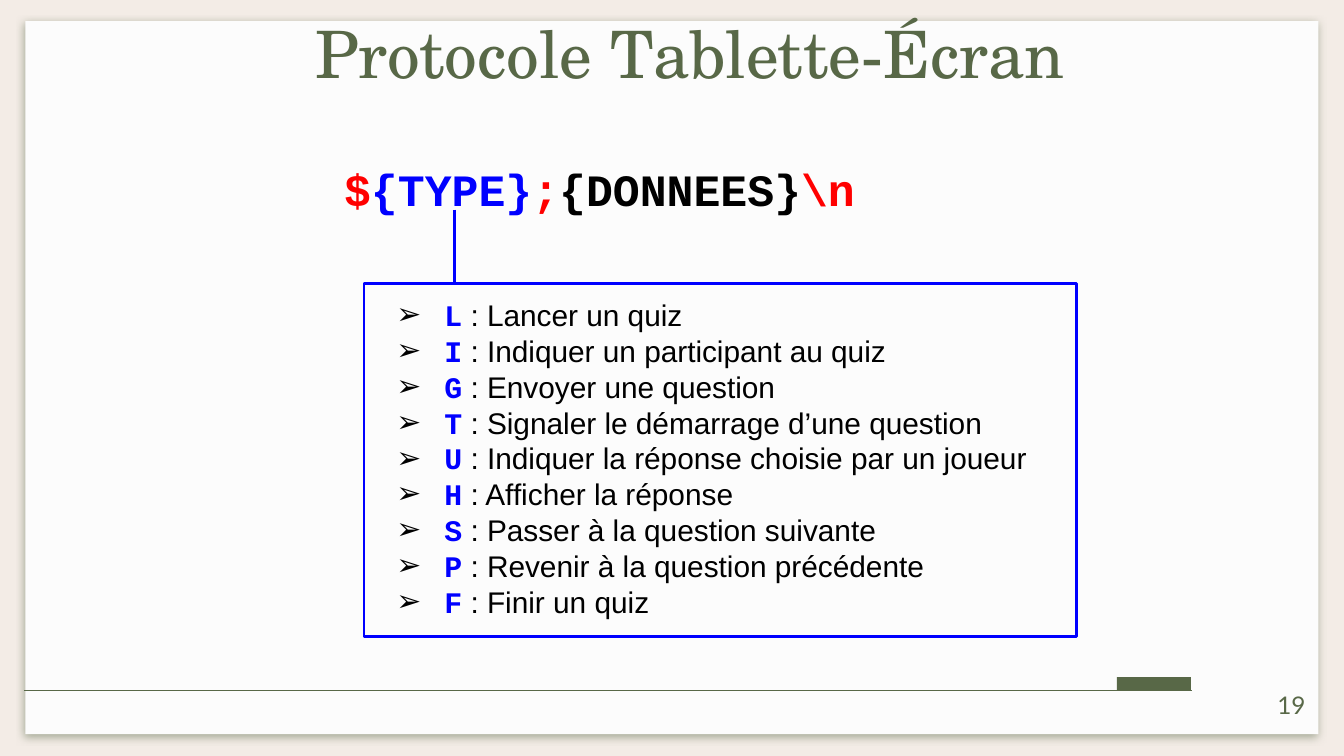
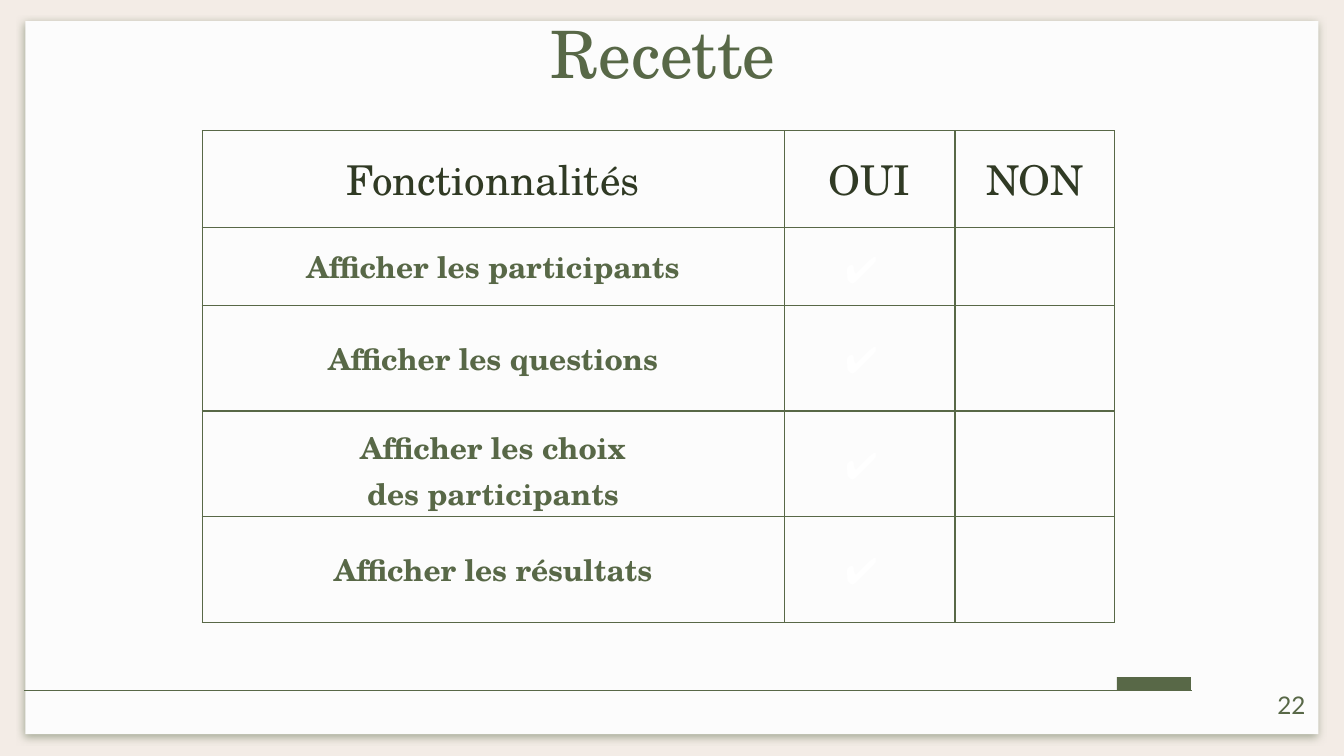
from lxml.etree import SubElement
from pptx import Presentation
from pptx.dml.color import RGBColor
from pptx.enum.shapes import MSO_CONNECTOR, MSO_SHAPE
from pptx.enum.text import MSO_ANCHOR, PP_ALIGN
from pptx.oxml.ns import qn
from pptx.util import Cm, Pt

HUES = {
    "page": "F3ECE6", "card": "FCFCFC", "green": "586847", "dark": "303A24",
    "blue": "0000FF", "red": "FF0000", "black": "000000", "white": "FFFFFF",
}
SERIF, SANS, MONO, NOTE = "TeX Gyre Schola", "Arial", "Courier New", "Lato"
PAD = Cm(0.25)

ORDERS = [
    ("L", "Lancer un quiz"),
    ("I", "Indiquer un participant au quiz"),
    ("G", "Envoyer une question"),
    ("T", "Signaler le démarrage d’une question"),
    ("U", "Indiquer la réponse choisie par un joueur"),
    ("H", "Afficher la réponse"),
    ("S", "Passer à la question suivante"),
    ("P", "Revenir à la question précédente"),
    ("F", "Finir un quiz"),
]
FRAME = [("$", "red"), ("{TYPE}", "blue"), (";", "red"),
         ("{DONNEES}", "black"), ("\\n", "red")]
HEADS = ["Fonctionnalités", "OUI", "NON"]
TESTS = [
    ["Afficher les participants"],
    ["Afficher les questions"],
    ["Afficher les choix", "des participants"],
    ["Afficher les résultats"],
]
WIDTHS = [11, 3.23, 3.02]
HEIGHTS = [1.83, 1.47, 2, 2, 2]


def tint(name):
    """Return the named colour."""
    return RGBColor.from_string(HUES[name])


def add_run(par, text, face, size, hue, bold=False):
    """Add one styled run to a paragraph."""
    run = par.add_run()
    run.text = text
    run.font.name, run.font.size, run.font.bold = face, Pt(size), bold
    run.font.color.rgb = tint(hue)


def set_pad(item):
    """Give a text frame or a cell equal margins."""
    item.margin_left = item.margin_right = PAD
    item.margin_top = item.margin_bottom = PAD


def add_text(slide, spot, align, anchor=MSO_ANCHOR.TOP):
    """Add a wrapped text box and return its first paragraph."""
    frame = slide.shapes.add_textbox(*map(Cm, spot)).text_frame
    frame.word_wrap = True
    frame.vertical_anchor = anchor
    set_pad(frame)
    par = frame.paragraphs[0]
    par.alignment = align
    return par


def add_box(slide, spot, fill=None, edge=None):
    """Add a flat rectangle."""
    box = slide.shapes.add_shape(MSO_SHAPE.RECTANGLE, *map(Cm, spot))
    box.shadow.inherit = False
    if fill:
        box.fill.solid()
        box.fill.fore_color.rgb = tint(fill)
    else:
        box.fill.background()
    if edge:
        box.line.color.rgb = tint(edge)
        box.line.width = Pt(1.5)
    else:
        box.line.fill.background()
    return box


def add_line(slide, ends, hue, width):
    """Add a straight line without shadow."""
    line = slide.shapes.add_connector(MSO_CONNECTOR.STRAIGHT, *map(Cm, ends))
    line.line.color.rgb = tint(hue)
    line.line.width = Pt(width)
    SubElement(line.element.spPr, qn("a:effectLst"))


def add_shade(box):
    """Cast a soft green shadow below a shape."""
    list_ = box.element.spPr.find(qn("a:effectLst"))
    shade = SubElement(list_, qn("a:outerShdw"), blurRad=str(Pt(4.5)),
                       dist=str(Pt(1.5)), dir="5400000", algn="bl", rotWithShape="0")
    hue = SubElement(shade, qn("a:srgbClr"), val=HUES["green"])
    SubElement(hue, qn("a:alpha"), val="50000")


def set_indent(par, left, first=0):
    """Indent a paragraph and return its properties."""
    props = par._p.get_or_add_pPr()
    props.set("marL", str(Cm(left)))
    props.set("indent", str(Cm(first)))
    return props


def add_mark(par):
    """Give a paragraph a black arrow bullet."""
    props = set_indent(par, 1.27, -0.91)
    SubElement(SubElement(props, qn("a:buClr")), qn("a:srgbClr"), val=HUES["black"])
    SubElement(props, qn("a:buFont"), typeface=SANS)
    SubElement(props, qn("a:buChar"), char="➢")


def add_slide(deck, title, left, page):
    """Add a slide with card, title, footer rule and page number."""
    slide = deck.slides.add_slide(deck.slide_layouts[6])
    slide.background.fill.solid()
    slide.background.fill.fore_color.rgb = tint("page")
    add_shade(add_box(slide, (0.48, 0.4, 24.44, 13.48), "card"))
    add_line(slide, (0.46, 13.05, 22.53, 13.05), "green", 0.75)
    add_box(slide, (21.11, 12.8, 1.4, 0.25), "green")
    par = add_text(slide, (left, 0, 21.41, 1.6), PP_ALIGN.CENTER)
    add_run(par, title, SERIF, 35, "green")
    par = add_text(slide, (23.4, 12.8, 1.52, 1.1), PP_ALIGN.RIGHT)
    add_run(par, str(page), NOTE, 13, "green")
    return slide


def add_orders(slide):
    """Draw the frame format and the list of its types."""
    par = add_text(slide, (3.86, 2.54, 14.94, 1.88), PP_ALIGN.CENTER, MSO_ANCHOR.MIDDLE)
    par.line_spacing = 1.15
    for text, hue in FRAME:
        add_run(par, text, MONO, 24, hue, True)
    frame = add_box(slide, (6.88, 5.36, 13.46, 6.68), edge="blue").text_frame
    frame.word_wrap = True
    frame.vertical_anchor = MSO_ANCHOR.TOP
    set_pad(frame)
    for i, (code, text) in enumerate(ORDERS):
        par = frame.add_paragraph() if i else frame.paragraphs[0]
        par.alignment = PP_ALIGN.LEFT
        add_mark(par)
        add_run(par, code, MONO, 16, "blue", True)
        add_run(par, f" : {text}", SANS, 16, "black")
    add_line(slide, (8.59, 3.96, 8.59, 5.38), "blue", 1.5)


def set_cell(cell):
    """Give a cell green borders, margins and no fill."""
    props = cell._tc.get_or_add_tcPr()
    for side in "LRTB":
        edge = SubElement(props, qn(f"a:ln{side}"), w=str(Pt(0.75)))
        fill = SubElement(edge, qn("a:solidFill"))
        SubElement(fill, qn("a:srgbClr"), val=HUES["green"])
    cell.fill.background()
    cell.vertical_anchor = MSO_ANCHOR.MIDDLE
    set_pad(cell)


def fill_cell(cell, lines, size, hue, bold=False):
    """Write centred lines into a cell."""
    frame = cell.text_frame
    for i, text in enumerate(lines):
        par = frame.add_paragraph() if i else frame.paragraphs[0]
        par.alignment = PP_ALIGN.CENTER
        add_run(par, text, SERIF, size, hue, bold)


def add_grid(slide):
    """Draw the table of accepted features."""
    spot = map(Cm, (3.82, 2.47, sum(WIDTHS), sum(HEIGHTS)))
    grid = slide.shapes.add_table(len(HEIGHTS), len(WIDTHS), *spot).table
    grid.first_row = grid.horz_banding = False
    for col, width in zip(grid.columns, WIDTHS):
        col.width = Cm(width)
    for row, height in zip(grid.rows, HEIGHTS):
        row.height = Cm(height)
    for cell in grid.iter_cells():
        set_cell(cell)
    for i, head in enumerate(HEADS):
        fill_cell(grid.cell(0, i), [head], 22, "dark")
    for i, lines in enumerate(TESTS, 1):
        fill_cell(grid.cell(i, 0), lines, 16, "green", True)
        par = grid.cell(i, 1).text_frame.paragraphs[0]
        set_indent(par, 0.9)
        add_run(par, "✔️", SERIF, 20, "white")


def main():
    """Build and save the deck."""
    deck = Presentation()
    deck.slide_width, deck.slide_height = Cm(25.4), Cm(14.29)
    add_orders(add_slide(deck, "Protocole Tablette-Écran", 2.34, 19))
    add_grid(add_slide(deck, "Recette ", 2, 22))
    deck.save("out.pptx")


if __name__ == "__main__":
    main()
